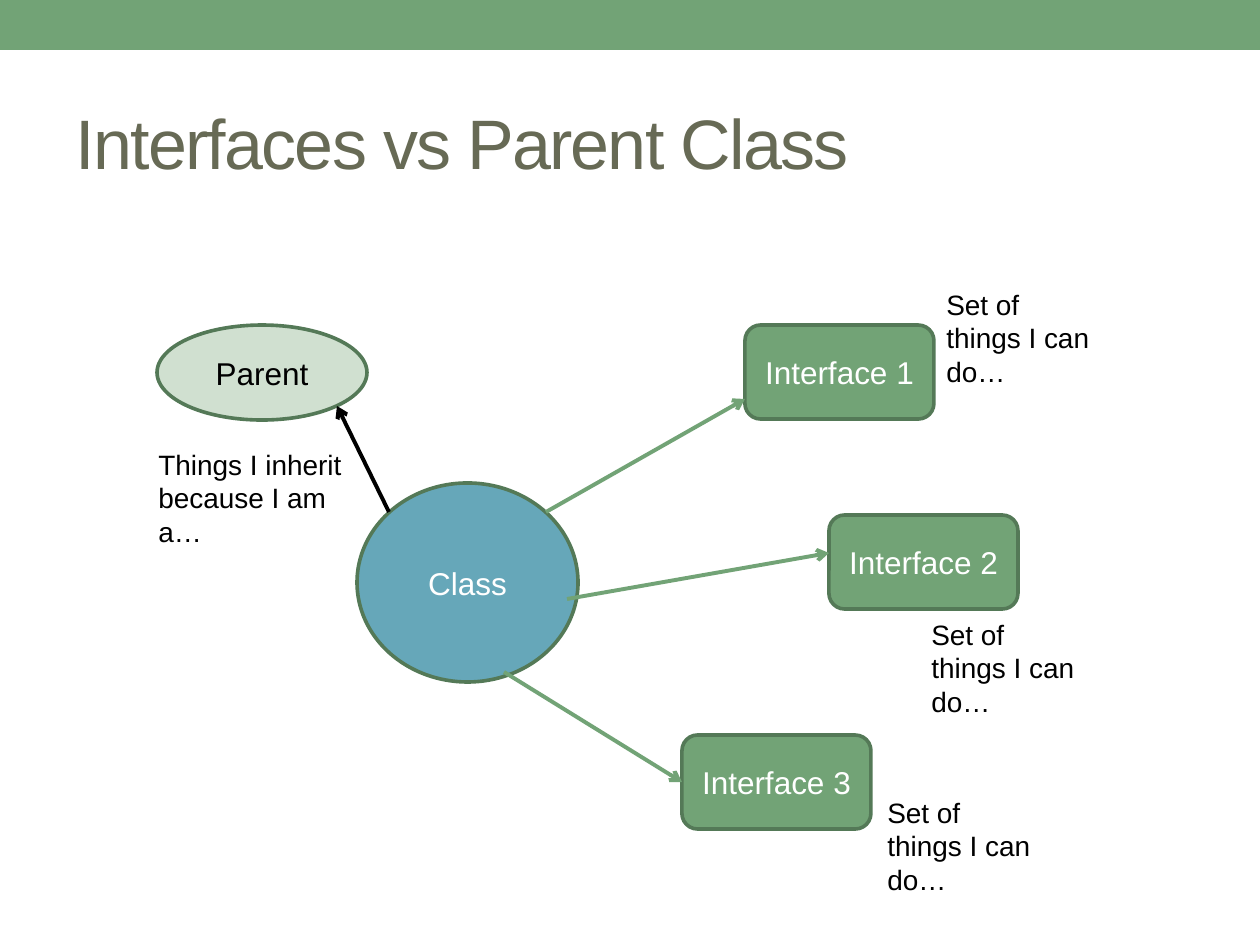
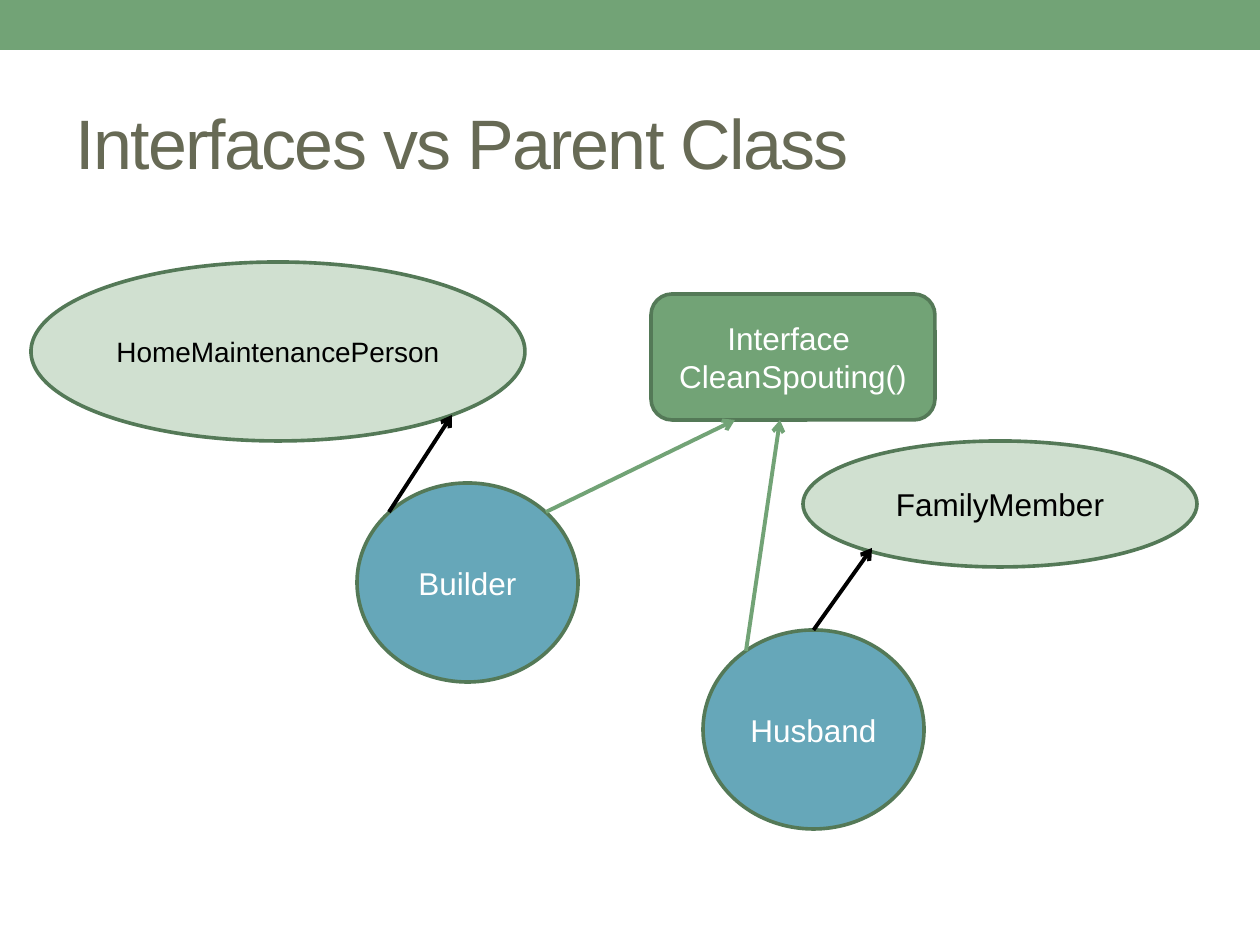
"""Build two slides comparing interfaces with parent classes."""
import pptx
import pptx.dml.color
import pptx.enum.shapes
import pptx.enum.text
import pptx.oxml
import pptx.oxml.ns
import pptx.util

PX = 914400 / 126
FONT = "Arial"
TITLE = "Interfaces vs Parent Class"
ABILITY = "Set of things I can do…"
COLOURS = {
    "green": "72A376",
    "outline": "547957",
    "blue": "66A7B9",
    "pale": "D0E0D0",
    "title": "676A55",
    "black": "000000",
    "white": "FFFFFF",
}
SHAPES = pptx.enum.shapes.MSO_SHAPE
ALIGN = pptx.enum.text.PP_ALIGN
ANCHOR = pptx.enum.text.MSO_ANCHOR
AUTO_SIZE = pptx.enum.text.MSO_AUTO_SIZE
CLASS_SIZE = (221, 199)
INTERFACE_SIZE = (189, 94)


def px(*lengths):
    """Turn pixel lengths into EMU."""
    return [pptx.util.Emu(round(length * PX)) for length in lengths]


def colour(name):
    """Look up a named colour."""
    return pptx.dml.color.RGBColor.from_string(COLOURS[name])


def write(frame, lines, size, colour_name, align):
    """Write one paragraph per line and return the runs."""
    runs = []
    for index, line in enumerate(lines):
        paragraph = frame.paragraphs[0] if index == 0 else frame.add_paragraph()
        paragraph.alignment = align
        run = paragraph.add_run()
        run.text = line
        run.font.name = FONT
        run.font.size = pptx.util.Pt(size)
        run.font.color.rgb = colour(colour_name)
        runs.append(run)
    return runs


def add_filled_shape(slide, kind, box, fill):
    """Add a flat preset shape without a shadow."""
    shape = slide.shapes.add_shape(kind, *px(*box))
    shape.shadow.inherit = False
    shape.fill.solid()
    shape.fill.fore_color.rgb = colour(fill)
    return shape


def add_titled_slide(presentation):
    """Add a title-only slide with the shared band and title style."""
    slide = presentation.slides.add_slide(presentation.slide_layouts[5])
    band = add_filled_shape(slide, SHAPES.RECTANGLE, (0, 0, 1260, 50), "green")
    band.line.fill.background()
    title = slide.shapes.title
    title.left, title.top, title.width, title.height = px(63, 73, 1134, 136)
    frame = title.text_frame
    frame.auto_size = AUTO_SIZE.NONE
    frame.vertical_anchor = ANCHOR.MIDDLE
    for run in write(frame, [TITLE], 40, "title", ALIGN.LEFT):
        run.font._element.set("spc", "-100")
    return slide


def add_node(slide, kind, box, lines, fill, text_colour="white", size=18):
    """Add an outlined shape with a centred label."""
    shape = add_filled_shape(slide, kind, box, fill)
    shape.line.color.rgb = colour("outline")
    shape.line.width = pptx.util.Pt(2.08)
    frame = shape.text_frame
    frame.word_wrap = True
    frame.margin_left = frame.margin_right = 0
    frame.vertical_anchor = ANCHOR.MIDDLE
    write(frame, lines, size, text_colour, ALIGN.CENTER)
    return shape


def add_class(slide, left, top, label):
    """Add a blue class circle."""
    return add_node(slide, SHAPES.OVAL, (left, top, *CLASS_SIZE), [label], "blue")


def add_parent(slide, box, label, size=18):
    """Add a pale parent class ellipse."""
    return add_node(slide, SHAPES.OVAL, box, [label], "pale", "black", size)


def add_interface(slide, box, *lines):
    """Add a green interface box."""
    return add_node(slide, SHAPES.ROUNDED_RECTANGLE, box, lines, "green")


def add_note(slide, left, top, width, text):
    """Add a small wrapped remark."""
    note = slide.shapes.add_textbox(*px(left, top, width, 81))
    note.text_frame.word_wrap = True
    note.text_frame.auto_size = AUTO_SIZE.SHAPE_TO_FIT_TEXT
    write(note.text_frame, [text], 16, "black", ALIGN.LEFT)


def add_arrow(slide, start, end, colour_name):
    """Add a straight arrow from start to end."""
    arrow = slide.shapes.add_connector(
        pptx.enum.shapes.MSO_CONNECTOR.STRAIGHT, *px(*start, *end))
    arrow.line.color.rgb = colour(colour_name)
    arrow.line.width = pptx.util.Pt(2.25)
    head = pptx.oxml.parse_xml(
        f'<a:tailEnd {pptx.oxml.ns.nsdecls("a")} type="arrow"/>')
    arrow.line._get_or_add_ln().append(head)
    arrow.element.spPr.append(
        pptx.oxml.parse_xml(f'<a:effectLst {pptx.oxml.ns.nsdecls("a")}/>'))
    return arrow


def fill_concept_slide(slide):
    """Show one class with a parent and three interfaces."""
    add_class(slide, 357, 483, "Class")
    add_parent(slide, (157, 325, 210, 95), "Parent")
    places = [(745, 325), (829, 515), (682, 735)]
    interfaces = [
        add_interface(slide, (*place, *INTERFACE_SIZE), f"Interface {number}")
        for number, place in enumerate(places, 1)
    ]
    add_note(slide, 146, 441, 222, "Things I inherit because I am a…")
    for left, top in [(934, 281), (919, 611), (875, 789)]:
        add_note(slide, left, top, 179, ABILITY)
    add_arrow(slide, (546, 512), (745, 399), "green")
    add_arrow(slide, (567, 599), (829, 553), "green")
    last_arrow = add_arrow(slide, (504, 672), (682, 782), "green")
    last_arrow.end_connect(interfaces[2], 1)
    add_arrow(slide, (389, 512), (337, 406), "black")


def fill_example_slide(slide):
    """Show two classes sharing one interface."""
    add_class(slide, 357, 483, "Builder")
    add_parent(slide, (31, 262, 494, 179), "HomeMaintenancePerson", 16)
    add_interface(slide, (651, 294, 284, 126), "Interface ", "CleanSpouting()")
    husband = add_class(slide, 703, 630, "Husband")
    add_parent(slide, (803, 441, 394, 126), "FamilyMember")
    add_arrow(slide, (546, 512), (735, 420), "green")
    add_arrow(slide, (389, 512), (452, 415), "black")
    family_arrow = add_arrow(slide, (814, 630), (872, 548), "black")
    family_arrow.begin_connect(husband, 0)
    add_arrow(slide, (746, 651), (780, 420), "green")


def main():
    """Build and save the presentation."""
    presentation = pptx.Presentation()
    presentation.slide_width, presentation.slide_height = px(1260, 945)
    fill_concept_slide(add_titled_slide(presentation))
    fill_example_slide(add_titled_slide(presentation))
    presentation.save("out.pptx")


if __name__ == "__main__":
    main()
